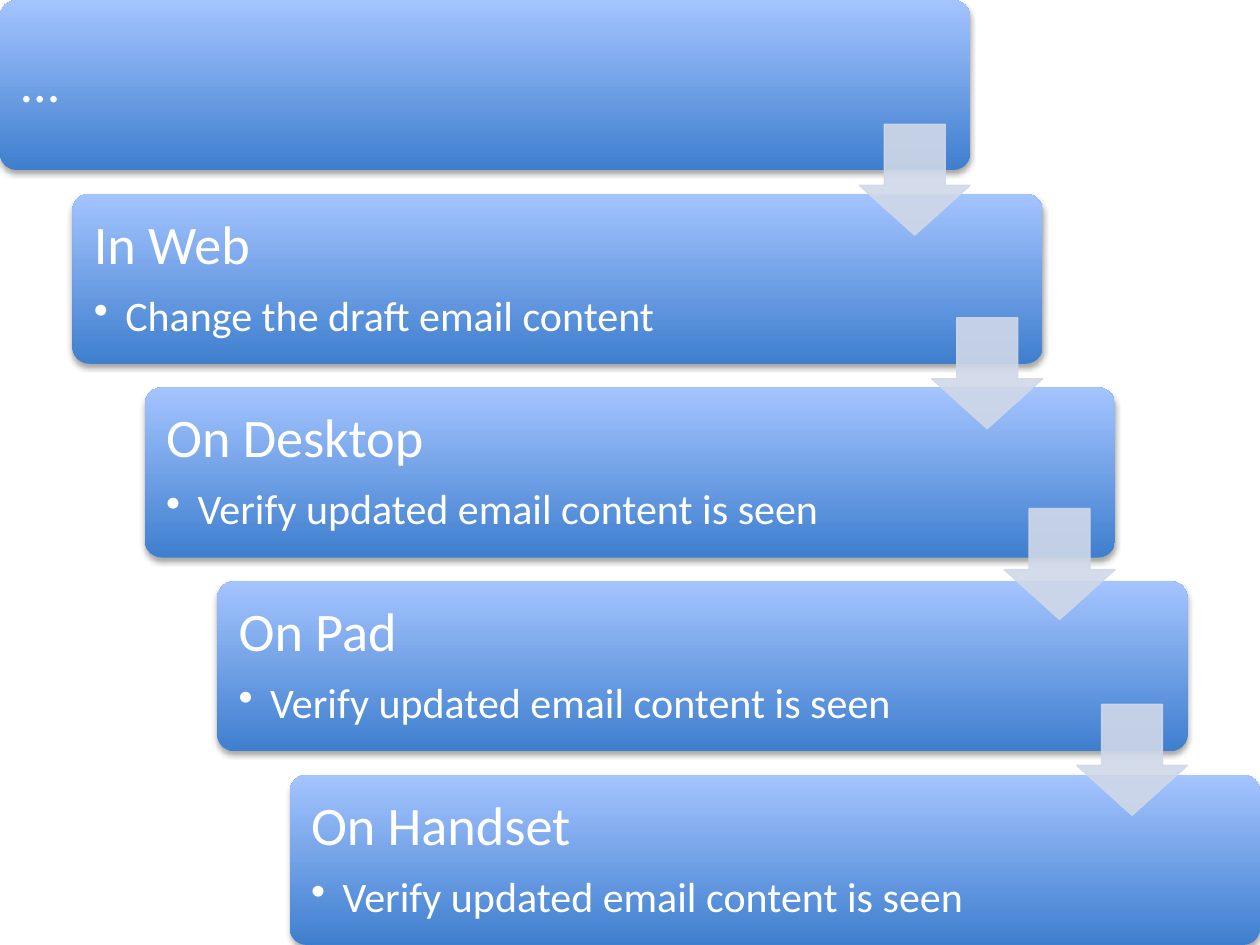
from lxml import etree
from pptx import Presentation
from pptx.dml.color import RGBColor
from pptx.enum import shapes, text
from pptx.oxml.ns import qn
from pptx.util import Pt

STEPS = [
    ("…", None),
    ("In Web", "Change the draft email content"),
    ("On Desktop", "Verify updated email content is seen"),
    ("On Pad", "Verify updated email content is seen"),
    ("On Handset", "Verify updated email content is seen"),
]
COLORS = {"bottom": "3F7FCE", "top": "A4C4FF", "arrow": "D0D8E8",
          "text": "FFFFFF", "shadow": "000000"}
FONT = "Calibri"
SLIDE_W, SLIDE_H = 720, 540
CARD_W, CARD_H = 554.4, 97.2
STEP_X = (SLIDE_W - CARD_W) / (len(STEPS) - 1)
STEP_Y = (SLIDE_H - CARD_H) / (len(STEPS) - 1)
INSET = 2.9
TEXT_WIDTHS = [438.5] + [444.2] * 4
ARROW = 63.4
ARROW_TOPS = [71, 181.6, 290.6, 402.5]
MARGIN = 9.3
FRAME = {"word_wrap": True, "vertical_anchor": text.MSO_ANCHOR.MIDDLE,
         **{f"margin_{side}": Pt(MARGIN) for side in ("left", "top", "right", "bottom")}}
TITLE = {"size": 31, "after": 10.85}
DETAIL = {"size": 24, "after": 3.6}


def rgb(name):
    return RGBColor.from_string(COLORS[name])


def add_child(parent, tag, **attrs):
    return etree.SubElement(parent, qn(tag), {k: str(v) for k, v in attrs.items()})


def add_preset(slide, kind, box, adjustments):
    sp = slide.shapes.add_shape(kind, *map(Pt, box))
    sp.shadow.inherit = False
    for i, value in enumerate(adjustments):
        sp.adjustments[i] = value
    return sp


def add_card(slide, x, y):
    sp = add_preset(slide, shapes.MSO_SHAPE.ROUNDED_RECTANGLE,
                    (x, y, CARD_W, CARD_H), [0.1])
    sp.line.fill.background()
    sp.fill.gradient()
    sp.fill.gradient_angle = 90
    for stop, name, position in zip(sp.fill.gradient_stops, ("bottom", "top"), (0, 1)):
        stop.color.rgb = rgb(name)
        stop.position = position
    effects = sp._element.spPr.find(qn("a:effectLst"))
    shadow = add_child(effects, "a:outerShdw", blurRad=Pt(3.1), dist=Pt(1.8),
                       dir=90 * 60000, rotWithShape=0)
    color = add_child(shadow, "a:srgbClr", val=COLORS["shadow"])
    add_child(color, "a:alpha", val=35000)


def style_paragraph(p, words, style):
    p.line_spacing = 0.9
    p.space_after = Pt(style["after"])
    r = p.add_run()
    r.text = words
    for name, value in {"name": FONT, "size": Pt(style["size"])}.items():
        setattr(r.font, name, value)
    r.font.color.rgb = rgb("text")


def add_words(slide, x, y, width, title, detail):
    box = (x + INSET, y + INSET, width, CARD_H - 2 * INSET)
    tf = slide.shapes.add_textbox(*map(Pt, box)).text_frame
    for name, value in FRAME.items():
        setattr(tf, name, value)
    style_paragraph(tf.paragraphs[0], title, TITLE)
    if detail:
        p = tf.add_paragraph()
        p.level = 1
        style_paragraph(p, detail, DETAIL)
        pPr = p._p.get_or_add_pPr()
        pPr.set("marL", str(Pt(18)))
        pPr.set("indent", str(Pt(-18)))
        add_child(pPr, "a:buChar", char="•")


def add_arrow(slide, x, y):
    sp = add_preset(slide, shapes.MSO_SHAPE.DOWN_ARROW,
                    (x, y, ARROW, ARROW), [0.55, 0.45])
    sp.line.width = Pt(0.75)
    for fill in (sp.fill, sp.line.fill):
        fill.solid()
        fill.fore_color.rgb = rgb("arrow")
    for solid in sp._element.spPr.iter(qn("a:solidFill")):
        add_child(solid[0], "a:alpha", val=90000)


def main():
    prs = Presentation()
    prs.slide_width, prs.slide_height = Pt(SLIDE_W), Pt(SLIDE_H)
    slide = prs.slides.add_slide(prs.slide_layouts[6])
    for i, ((title, detail), width) in enumerate(zip(STEPS, TEXT_WIDTHS)):
        x, y = i * STEP_X, i * STEP_Y
        add_card(slide, x, y)
        add_words(slide, x, y, width, title, detail)
    for i, top in enumerate(ARROW_TOPS):
        add_arrow(slide, i * STEP_X + CARD_W - ARROW, top)
    prs.save("out.pptx")


if __name__ == "__main__":
    main()
